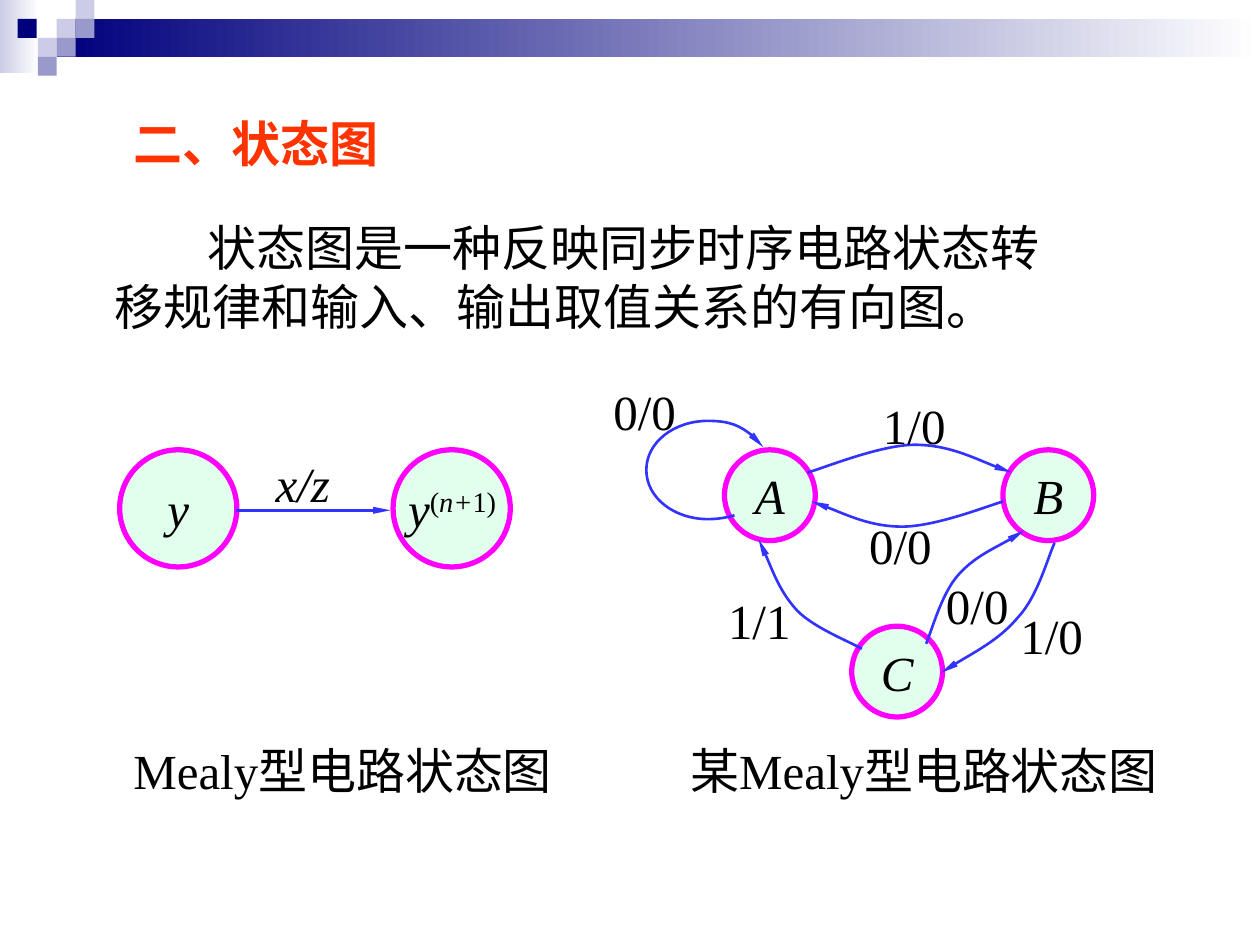
from lxml import etree
from pptx import Presentation
from pptx.dml.color import RGBColor
from pptx.enum import shapes as kinds, text as txt
from pptx.oxml.ns import qn
from pptx.util import Inches, Pt

NAVY = RGBColor(0x00, 0x00, 0x7D)
LILAC = RGBColor(0xCC, 0xCC, 0xE6)
VIOLET = RGBColor(0x99, 0x99, 0xCC)
WHITE = RGBColor(0xFF, 0xFF, 0xFF)
BLACK = RGBColor(0x00, 0x00, 0x00)
RED = RGBColor(0xFF, 0x33, 0x00)
MINT = RGBColor(0xE2, 0xFE, 0xED)
PINK = RGBColor(0xFF, 0x00, 0xFF)
BLUE = RGBColor(0x33, 0x33, 0xFF)


def write(shape, words, color=BLACK, bold=False, italic=False, wrap=False,
          anchor=txt.MSO_ANCHOR.TOP, align=txt.PP_ALIGN.LEFT):
    """Put words, a string or a list of (string, italic, raised), in a shape."""
    frame = shape.text_frame
    frame.auto_size = txt.MSO_AUTO_SIZE.NONE
    frame.word_wrap = wrap
    frame.vertical_anchor = anchor
    para = frame.paragraphs[0]
    para.alignment = align
    runs = [(words, italic, False)] if isinstance(words, str) else words
    for part, slant, raised in runs:
        run = para.add_run()
        run.text = part
        font = run.font
        font.name, font.size = "Times New Roman", Pt(28)
        font.bold, font.italic = bold, slant
        font.color.rgb = color
        if raised:
            run._r.get_or_add_rPr().set("baseline", "30000")
    return para


def point(line):
    """Give a line its blue colour and an arrowhead at its end."""
    line.line.color.rgb = BLUE
    line.line.width = Pt(1.5)
    etree.SubElement(line.line._get_or_add_ln(), qn("a:tailEnd"),
                     type="triangle", w="sm", len="lg")


deck = Presentation()
deck.slide_width, deck.slide_height = Inches(10), Inches(7.5)
slide = deck.slides.add_slide(deck.slide_layouts[5])
tree = slide.shapes

# Banner: two fading bars and a checker of small squares
unit = 0.15
bars = [(0, 0, 0.31, 0.58, LILAC), (0.45, unit, 9.55, 0.3, NAVY)]
tiles = [(0.45, 0.15, LILAC), (0.6, 0, LILAC), (0.6, 0.15, VIOLET),
         (0.3, 0.3, LILAC), (0.14, 0.15, NAVY), (0.45, 0.3, VIOLET),
         (0.3, 0.45, VIOLET)]
for x, y, w, h, color in bars + [(x, y, unit, unit, c) for x, y, c in tiles]:
    block = tree.add_shape(kinds.MSO_SHAPE.RECTANGLE,
                           Inches(x), Inches(y), Inches(w), Inches(h))
    block.shadow.inherit = False
    block.line.fill.background()
    if w == unit:
        block.fill.solid()
        block.fill.fore_color.rgb = color
    else:
        block.fill.gradient()
        block.fill.gradient_angle = 0
        for stop, shade in zip(block.fill.gradient_stops, (color, WHITE)):
            stop.color.rgb = shade

# Title and definition
title = tree.title
title.left, title.top = Inches(0.96), Inches(0.85)
title.width, title.height = Inches(2.15), Inches(0.57)
write(title, "二、状态图", color=RED, bold=True)

body = tree.add_textbox(Inches(0.81), Inches(1.68), Inches(7.85), Inches(1.03))
para = write(body, "状态图是一种反映同步时序电路状态转移规律和输入、"
             "输出取值关系的有向图。", wrap=True)
para._p.get_or_add_pPr().set("indent", str(Inches(0.74)))

# States
for name, x, y, size in [("y", 0.95, 3.57, 0.93), ("", 3.12, 3.57, 0.93),
                         ("A", 5.75, 3.57, 0.72), ("C", 6.76, 4.97, 0.72),
                         ("B", 7.96, 3.57, 0.72)]:
    state = tree.add_shape(kinds.MSO_SHAPE.OVAL, Inches(x), Inches(y),
                           Inches(size), Inches(size))
    state.shadow.inherit = False
    state.fill.solid()
    state.fill.fore_color.rgb = MINT
    state.line.color.rgb = PINK
    state.line.width = Pt(3)
    if name:
        write(state, name, italic=True, anchor=txt.MSO_ANCHOR.MIDDLE,
              align=txt.PP_ALIGN.CENTER)

# Transitions: one straight arrow, then chains of Bezier curves
arrow = tree.add_connector(kinds.MSO_CONNECTOR.STRAIGHT, Inches(1.87),
                           Inches(4.05), Inches(3.1), Inches(4.05))
etree.SubElement(arrow._element.spPr, qn("a:effectLst"))
point(arrow)

curves = [
    [(6.41, 3.75), (6.55, 3.71), (6.99, 3.53), (7.26, 3.53),
     (7.53, 3.53), (7.87, 3.7), (8.03, 3.75)],
    [(7.96, 3.98), (7.83, 4.02), (7.42, 4.18), (7.16, 4.18),
     (6.91, 4.18), (6.59, 4.03), (6.44, 3.98)],
    [(5.83, 4.09), (5.76, 4.11), (5.69, 4.12), (5.62, 4.12),
     (5.35, 4.12), (5.13, 3.95), (5.13, 3.73),
     (5.13, 3.51), (5.35, 3.34), (5.62, 3.34),
     (5.8, 3.34), (5.97, 3.42), (6.06, 3.55)],
    [(8.37, 4.31), (8.32, 4.41), (8.24, 4.73), (8.08, 4.9),
     (7.93, 5.08), (7.6, 5.25), (7.47, 5.34)],
    [(7.35, 5.11), (7.39, 5.02), (7.47, 4.72), (7.6, 4.57),
     (7.73, 4.42), (8.02, 4.29), (8.13, 4.21)],
    [(6.84, 5.15), (6.76, 5.1), (6.47, 4.99), (6.33, 4.85),
     (6.19, 4.7), (6.08, 4.4), (6.02, 4.28)],
]
for knots in curves:
    start, *rest = [(Inches(x), Inches(y)) for x, y in knots]
    pen = tree.build_freeform(*start)
    pen.add_line_segments(rest, close=False)
    curve = pen.convert_to_shape()
    # Every three straight segments become one cubic curve
    legs = list(curve._element.iter(qn("a:lnTo")))
    for k in range(0, len(legs), 3):
        bend = etree.Element(qn("a:cubicBezTo"))
        legs[k].addprevious(bend)
        for leg in legs[k:k + 3]:
            bend.append(leg[0])
            leg.getparent().remove(leg)
    curve.shadow.inherit = False
    curve.fill.background()
    point(curve)

# Labels and captions
after = [("y", True, False), ("(", False, True), ("n+", True, True),
         ("1)", False, True)]
for words, x, y, w, form in [
        ("x/z", 2.09, 3.55, 0.63, {"italic": True}),
        (after, 3.14, 3.75, 0.99, {}),
        ("0/0", 4.77, 2.98, 0.7, {}),
        ("1/0", 6.91, 3.09, 0.7, {}),
        ("0/0", 6.8, 4.04, 0.7, {}),
        ("0/0", 7.41, 4.52, 0.7, {}),
        ("1/0", 8, 4.76, 0.7, {}),
        ("1/1", 5.68, 4.64, 0.7, {}),
        ("Mealy型电路状态图", 0.96, 5.83, 3.52, {"wrap": True}),
        ("某Mealy型电路状态图", 5.38, 5.83, 3.91, {"wrap": True})]:
    label = tree.add_textbox(Inches(x), Inches(y), Inches(w), Inches(0.57))
    write(label, words, **form)

deck.save("out.pptx")
